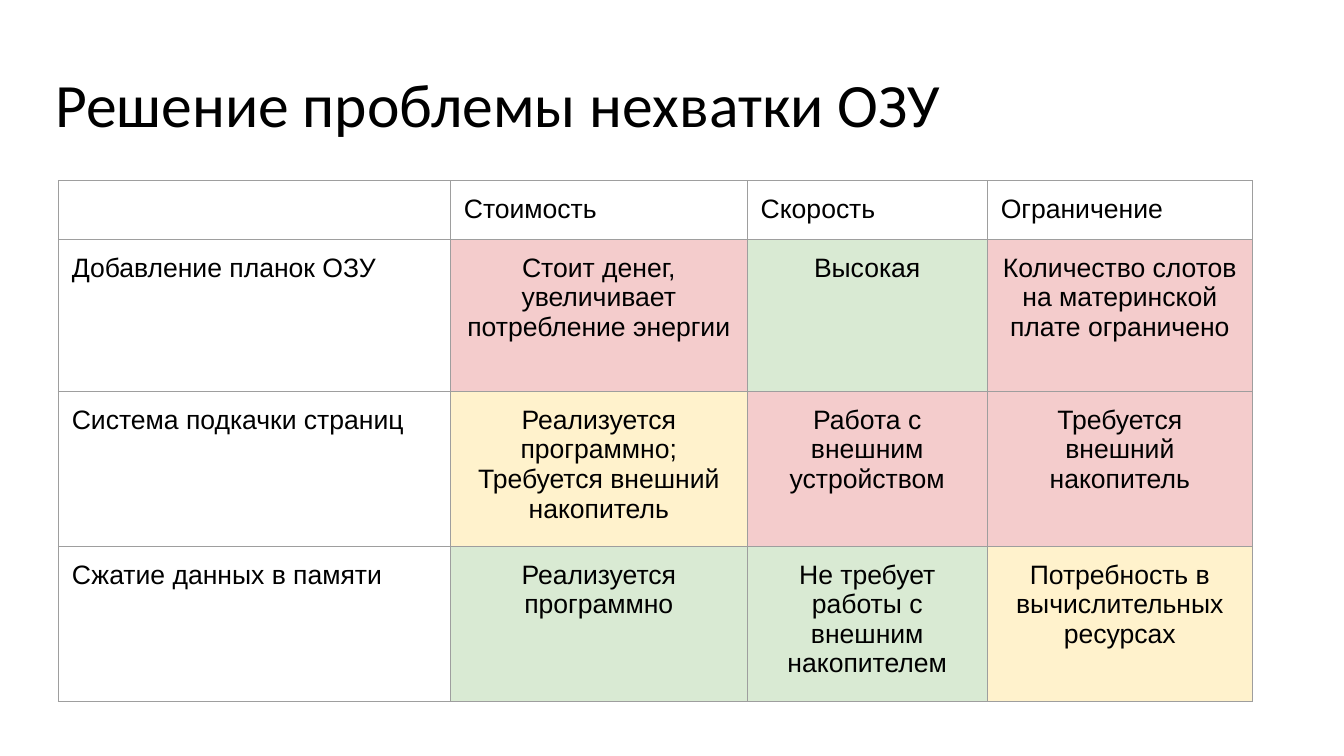
from dataclasses import dataclass

from pptx import Presentation
from pptx.dml.color import RGBColor as Rgb
from pptx.enum.text import MSO_ANCHOR as Anchor, PP_ALIGN as Align
from pptx.oxml.ns import qn
from pptx.util import Cm, Pt
from lxml.etree import SubElement as Sub

RED, GREEN, AMBER = "F4CCCC", "D9EAD3", "FFF2CC"
BLACK, GREY = "000000", "9E9E9E"
WIDTHS = (9.88, 7.48, 6.05, 6.68)
HEIGHTS = (1.47, 3.84, 3.84, 3.84)
PAD = Cm(0.34)
INSETS = {"margin_left": PAD, "margin_right": PAD,
          "margin_top": PAD, "margin_bottom": PAD}


@dataclass
class Entry:
    text: str
    fill: str = ""


ROWS = [
    [Entry(""), Entry("Стоимость"), Entry("Скорость"), Entry("Ограничение")],
    [Entry("Добавление планок ОЗУ"),
     Entry("Стоит денег, увеличивает потребление энергии", RED),
     Entry("Высокая", GREEN),
     Entry("Количество слотов на материнской плате ограничено", RED)],
    [Entry("Система подкачки страниц"),
     Entry("Реализуется программно; Требуется внешний накопитель", AMBER),
     Entry("Работа с внешним устройством", RED),
     Entry("Требуется внешний накопитель", RED)],
    [Entry("Сжатие данных в памяти"),
     Entry("Реализуется программно", GREEN),
     Entry("Не требует работы с внешним накопителем", GREEN),
     Entry("Потребность в вычислительных ресурсах", AMBER)],
]


def color(code: str) -> Rgb:
    return Rgb.from_string(code)


def apply(target, values: dict) -> None:
    for name, value in values.items():
        setattr(target, name, value)


def write(para, text: str, face: str, size: float) -> None:
    if text:
        run = para.add_run()
        run.text = text
        apply(run.font, {"name": face, "size": Pt(size)})
        run.font.color.rgb = color(BLACK)


def border(cell) -> None:
    props = cell._tc.get_or_add_tcPr()
    for side in ("lnL", "lnR", "lnT", "lnB"):
        line = Sub(props, qn(f"a:{side}"), w=str(Pt(0.75)))
        Sub(Sub(line, qn("a:solidFill")), qn("a:srgbClr"), val=GREY)


def paint(cell, entry: Entry) -> None:
    apply(cell, INSETS)
    border(cell)
    para = cell.text_frame.paragraphs[0]
    write(para, entry.text, "Arial", 19)
    if entry.fill:
        para.alignment = Align.CENTER
        cell.fill.solid()
        cell.fill.fore_color.rgb = color(entry.fill)
    else:
        cell.fill.background()


def title(slide, text: str) -> None:
    frame = slide.shapes.add_textbox(
        Cm(1.14), Cm(1.65), Cm(31.55), Cm(2.11)).text_frame
    apply(frame, {"word_wrap": True, "vertical_anchor": Anchor.MIDDLE})
    para = frame.paragraphs[0]
    para.line_spacing = 0.9
    write(para, text, "Calibri", 44)


def grid(slide) -> None:
    table = slide.shapes.add_table(
        len(ROWS), len(WIDTHS), Cm(1.47), Cm(4.55),
        Cm(sum(WIDTHS)), Cm(sum(HEIGHTS))).table
    apply(table, {"first_row": False, "horz_banding": False})
    for col, width in zip(table.columns, WIDTHS):
        col.width = Cm(width)
    for row, height, items in zip(table.rows, HEIGHTS, ROWS):
        row.height = Cm(height)
        for cell, entry in zip(row.cells, items):
            paint(cell, entry)


def main() -> None:
    deck = Presentation()
    apply(deck, {"slide_width": Cm(33.87), "slide_height": Cm(19.05)})
    slide = deck.slides.add_slide(deck.slide_layouts[6])
    # Heading
    title(slide, "Решение проблемы нехватки ОЗУ")
    # Comparison table
    grid(slide)
    deck.save("out.pptx")


if __name__ == "__main__":
    main()
